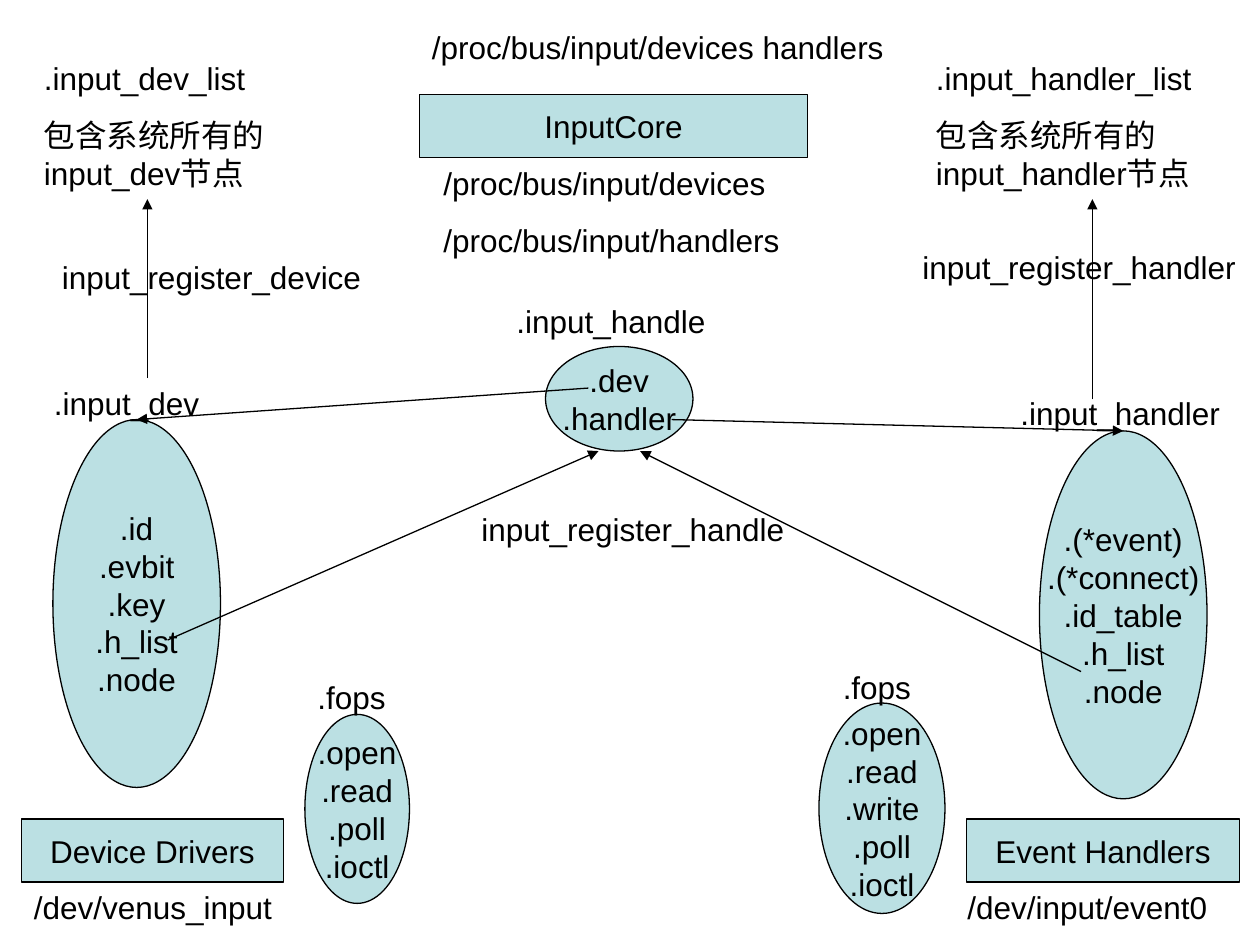
from lxml import etree
from pptx import Presentation
from pptx import util as u
from pptx.dml.color import RGBColor
from pptx.enum import shapes, text
from pptx.oxml.ns import qn


def rgb(value):
    return RGBColor.from_string(value)


def write(sp, content, align="LEFT", anchor="TOP", wrap=True, before=0, indent=0, grow=False):
    tf = sp.text_frame
    tf.word_wrap = wrap
    tf.vertical_anchor = text.MSO_ANCHOR[anchor]
    tf.margin_left = u.Inches(0.1 + indent)
    if grow:
        tf.auto_size = text.MSO_AUTO_SIZE.SHAPE_TO_FIT_TEXT
    for i, line in enumerate(content.split("\n")):
        p = tf.add_paragraph() if i else tf.paragraphs[0]
        p.alignment = text.PP_ALIGN[align]
        if i and before:
            p.space_before = u.Pt(before)
        r = p.add_run()
        r.text = line
        r.font.size = u.Pt(18)
        r.font.name = "Arial"
        r.font.color.rgb = rgb("000000")


prs = Presentation()
prs.slide_width, prs.slide_height = u.Inches(10), u.Inches(7.5)
s = prs.slides.add_slide(prs.slide_layouts[6])

nodes = [
    ("RECTANGLE", 3.33, 0.75, 3.08, 0.5, "InputCore"),
    ("RECTANGLE", 0.17, 6.5, 2.08, 0.5, "Device Drivers"),
    ("RECTANGLE", 7.67, 6.5, 2.17, 0.5, "Event Handlers"),
    ("OVAL", 0.42, 3.33, 1.33, 2.92, ".id\n.evbit\n.key\n.h_list\n.node"),
    ("OVAL", 8.25, 3.42, 1.33, 2.92, ".(*event)\n.(*connect)\n.id_table\n.h_list\n.node"),
    ("OVAL", 4.33, 2.75, 1.17, 0.83, ".dev\n.handler"),
    ("OVAL", 2.42, 5.67, 0.83, 1.5, ".open\n.read\n.poll\n.ioctl"),
    ("OVAL", 6.5, 5.58, 1, 1.67, ".open\n.read\n.write\n.poll\n.ioctl"),
]
drawn = []
for kind, x, y, w, h, content in nodes:
    sp = s.shapes.add_shape(shapes.MSO_SHAPE[kind], *map(u.Inches, (x, y, w, h)))
    sp.shadow.inherit = False
    sp.fill.solid()
    sp.fill.fore_color.rgb = rgb("BBE0E3")
    sp.line.color.rgb = rgb("000000")
    sp.line.width = u.Pt(0.75)
    write(sp, content, align="CENTER", anchor="MIDDLE", wrap=False)
    drawn.append(sp)
input_dev, input_handler = drawn[3:5]

labels = [
    (0.25, 0.42, 2.08, 1.16, ".input_dev_list\n包含系统所有的input_dev节点", 0),
    (7.33, 0.42, 2.33, 1.16, ".input_handler_list\n包含系统所有的input_handler节点", 0),
    (3.33, 0.17, 3.92, 0.4, "/proc/bus/input/devices handlers", 0),
    (3.42, 1.25, 2.92, 0.86, "/proc/bus/input/devices\n/proc/bus/input/handlers", 0),
    (0.25, 2, 2.75, 0.4, "input_register_device", 0.14),
    (7.08, 1.92, 2.92, 0.4, "input_register_handler", 0.14),
    (3.58, 4, 2.75, 0.4, "input_register_handle", 0.14),
    (4, 2.35, 1.92, 0.4, ".input_handle", 0),
    (0.33, 3, 1.5, 0.4, ".input_dev", 0),
    (8, 3.08, 1.92, 0.4, ".input_handler", 0),
    (2.42, 5.33, 0.75, 0.4, ".fops", 0),
    (6.59, 5.25, 0.75, 0.4, ".fops", 0),
    (0.17, 7, 2.25, 0.4, "/dev/venus_input", 0),
    (7.58, 7, 2.25, 0.4, "/dev/input/event0", 0),
]
for x, y, w, h, content, indent in labels:
    sp = s.shapes.add_textbox(*map(u.Inches, (x, y, w, h)))
    write(sp, content, before=11.2, indent=indent, grow=True)

arrows = [
    (1.17, 3, 1.17, 1.58, None),
    (8.67, 3.17, 8.67, 1.58, None),
    (1.33, 5.08, 4.75, 3.58, None),
    (8.58, 5.33, 5.08, 3.58, None),
    (4.67, 3.08, 1.08, 3.33, input_dev),
    (5.33, 3.33, 8.92, 3.42, input_handler),
]
for x1, y1, x2, y2, target in arrows:
    cx = s.shapes.add_connector(shapes.MSO_CONNECTOR.STRAIGHT, *map(u.Inches, (x1, y1, x2, y2)))
    if target is not None:
        cx.end_connect(target, 0)
    cx.line.color.rgb = rgb("000000")
    cx.line.width = u.Pt(0.75)
    etree.SubElement(cx.line._get_or_add_ln(), qn("a:tailEnd"), type="triangle")
    etree.SubElement(cx._element.spPr, qn("a:effectLst"))

prs.save("out.pptx")
